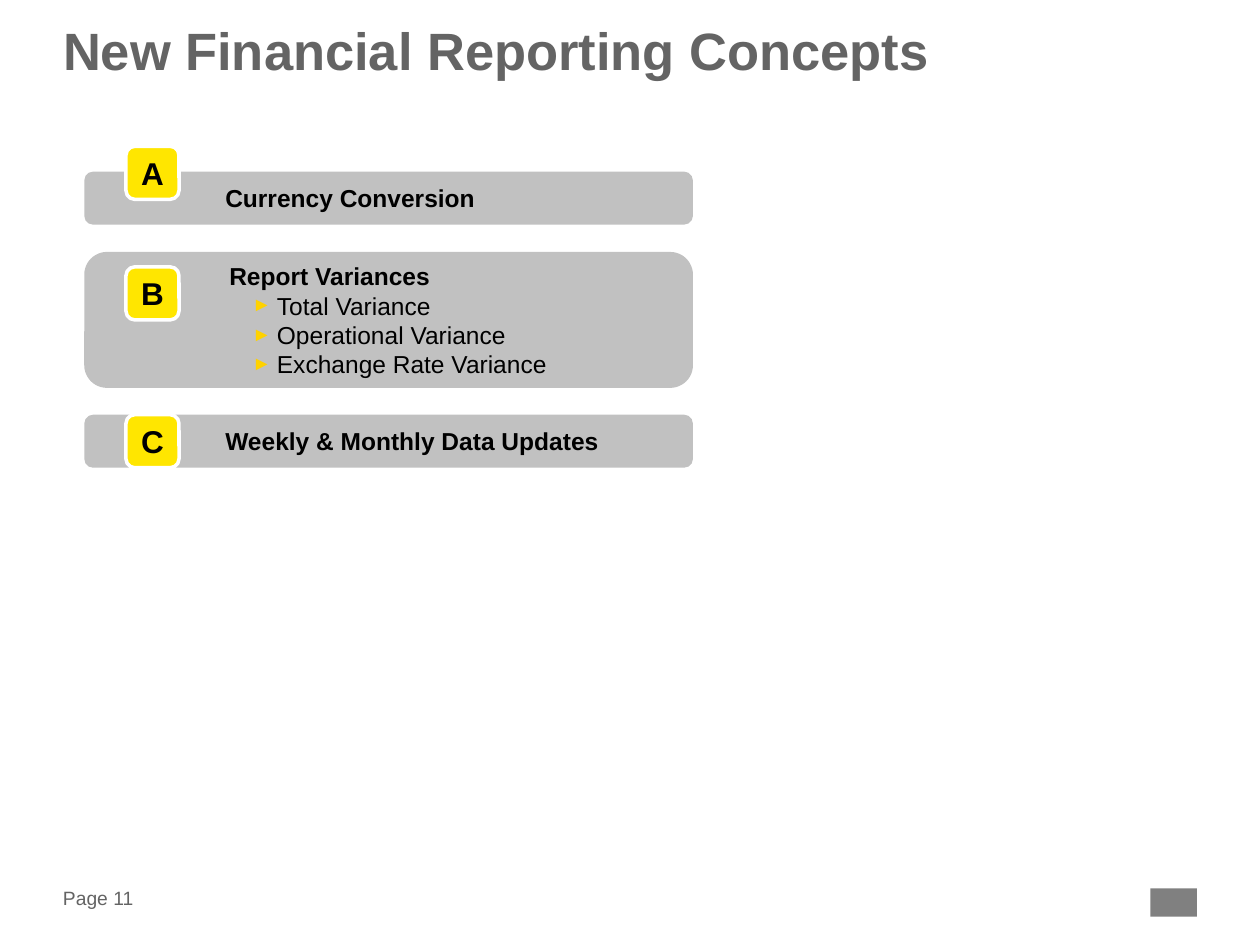
"""Build the slide that lists the new financial reporting concepts."""
from dataclasses import dataclass

from lxml import etree
from pptx import Presentation
from pptx.dml.color import RGBColor
from pptx.enum.shapes import MSO_SHAPE
from pptx.enum.text import MSO_ANCHOR, PP_ALIGN
from pptx.oxml.ns import qn
from pptx.util import Cm, Pt

ROUNDED, RECTANGLE = MSO_SHAPE.ROUNDED_RECTANGLE, MSO_SHAPE.RECTANGLE
TOP, MIDDLE = MSO_ANCHOR.TOP, MSO_ANCHOR.MIDDLE
LEFT, CENTER = PP_ALIGN.LEFT, PP_ALIGN.CENTER

FONT = "Arial"
COLORS = {
    "heading": "646464",
    "panel": "C1C1C1",
    "badge": "FFE600",
    "badge_edge": "FFFFFF",
    "bullet": "FFD200",
    "body": "000000",
    "mark": "808080",
}
PANEL_LEFT, PANEL_WIDTH = 1.7, 12.27
BADGE_LEFT, BADGE_SIZE = 2.54, 1.07


@dataclass(frozen=True)
class Concept:
    letter: str
    heading: str
    top: float
    height: float
    badge_top: float
    details: tuple[str, ...] = ()


CONCEPTS = (
    Concept("A", "Currency Conversion", 3.46, 1.07, 2.95),
    Concept("B", "Report Variances", 5.08, 2.74, 5.38,
            ("Total Variance", "Operational Variance", "Exchange Rate Variance")),
    Concept("C", "Weekly & Monthly Data Updates", 8.36, 1.07, 8.36),
)


def rgb(key: str) -> RGBColor:
    return RGBColor.from_string(COLORS[key])


def write(paragraph, text: str, *, size: float, color: str = "body", bold: bool = False,
          align=LEFT, margin: float = 0, hanging: float = 0, bullet: str = "") -> None:
    properties = paragraph._p.get_or_add_pPr()
    properties.set("marL", str(Cm(margin)))
    properties.set("indent", str(-Cm(hanging)))
    if bullet:
        bullet_color = etree.SubElement(properties, qn("a:buClr"))
        etree.SubElement(bullet_color, qn("a:srgbClr"), val=COLORS["bullet"])
        etree.SubElement(properties, qn("a:buSzPct"), val="80000")
        etree.SubElement(properties, qn("a:buFont"), typeface=FONT)
        etree.SubElement(properties, qn("a:buChar"), char=bullet)
    paragraph.alignment = align
    run = paragraph.add_run()
    run.text = text
    run.font.name = FONT
    run.font.size = Pt(size)
    run.font.bold = bold
    run.font.color.rgb = rgb(color)


def prepare_frame(frame, anchor, inset: bool = False) -> None:
    frame.word_wrap = True
    frame.vertical_anchor = anchor
    if not inset:
        frame.margin_left = frame.margin_right = frame.margin_top = frame.margin_bottom = 0


def add_block(slide, kind, left: float, top: float, width: float, height: float,
              fill: str, edge: str = ""):
    block = slide.shapes.add_shape(kind, Cm(left), Cm(top), Cm(width), Cm(height))
    block.shadow.inherit = False
    block.fill.solid()
    block.fill.fore_color.rgb = rgb(fill)
    if edge:
        block.line.color.rgb = rgb(edge)
        block.line.width = Pt(2)
    else:
        block.line.fill.background()
    return block


def add_title(slide, text: str) -> None:
    title = slide.shapes.title
    title.left, title.top, title.width, title.height = Cm(1.27), Cm(0.56), Cm(22.86), Cm(2.39)
    prepare_frame(title.text_frame, TOP)
    heading = title.text_frame.paragraphs[0]
    write(heading, text, size=30, color="heading", bold=True)
    heading.line_spacing = 0.85


def add_concept(slide, concept: Concept) -> None:
    panel = add_block(slide, ROUNDED, PANEL_LEFT, concept.top, PANEL_WIDTH, concept.height, "panel")
    prepare_frame(panel.text_frame, MIDDLE, inset=True)
    write(panel.text_frame.paragraphs[0], concept.heading, size=14, bold=True, margin=2.54)
    for detail in concept.details:
        write(panel.text_frame.add_paragraph(), detail, size=14,
              margin=3.5, hanging=0.5, bullet="►")

    badge = add_block(slide, ROUNDED, BADGE_LEFT, concept.badge_top, BADGE_SIZE, BADGE_SIZE,
                      "badge", "badge_edge")
    prepare_frame(badge.text_frame, MIDDLE)
    write(badge.text_frame.paragraphs[0], concept.letter, size=18, bold=True, align=CENTER)


def add_footer(slide, text: str) -> None:
    page = slide.shapes.add_textbox(Cm(1.27), Cm(17.81), Cm(2), Cm(0.56))
    prepare_frame(page.text_frame, MIDDLE)
    write(page.text_frame.paragraphs[0], text, size=11, color="heading")
    add_block(slide, RECTANGLE, 23.19, 17.91, 0.94, 0.57, "mark")


def main() -> None:
    deck = Presentation()
    deck.slide_width, deck.slide_height = Cm(25.4), Cm(19.05)
    slide = deck.slides.add_slide(deck.slide_layouts.get_by_name("Title Only"))
    add_title(slide, "New Financial Reporting Concepts")
    for concept in CONCEPTS:
        add_concept(slide, concept)
    add_footer(slide, "Page 11")
    deck.save("out.pptx")


if __name__ == "__main__":
    main()
